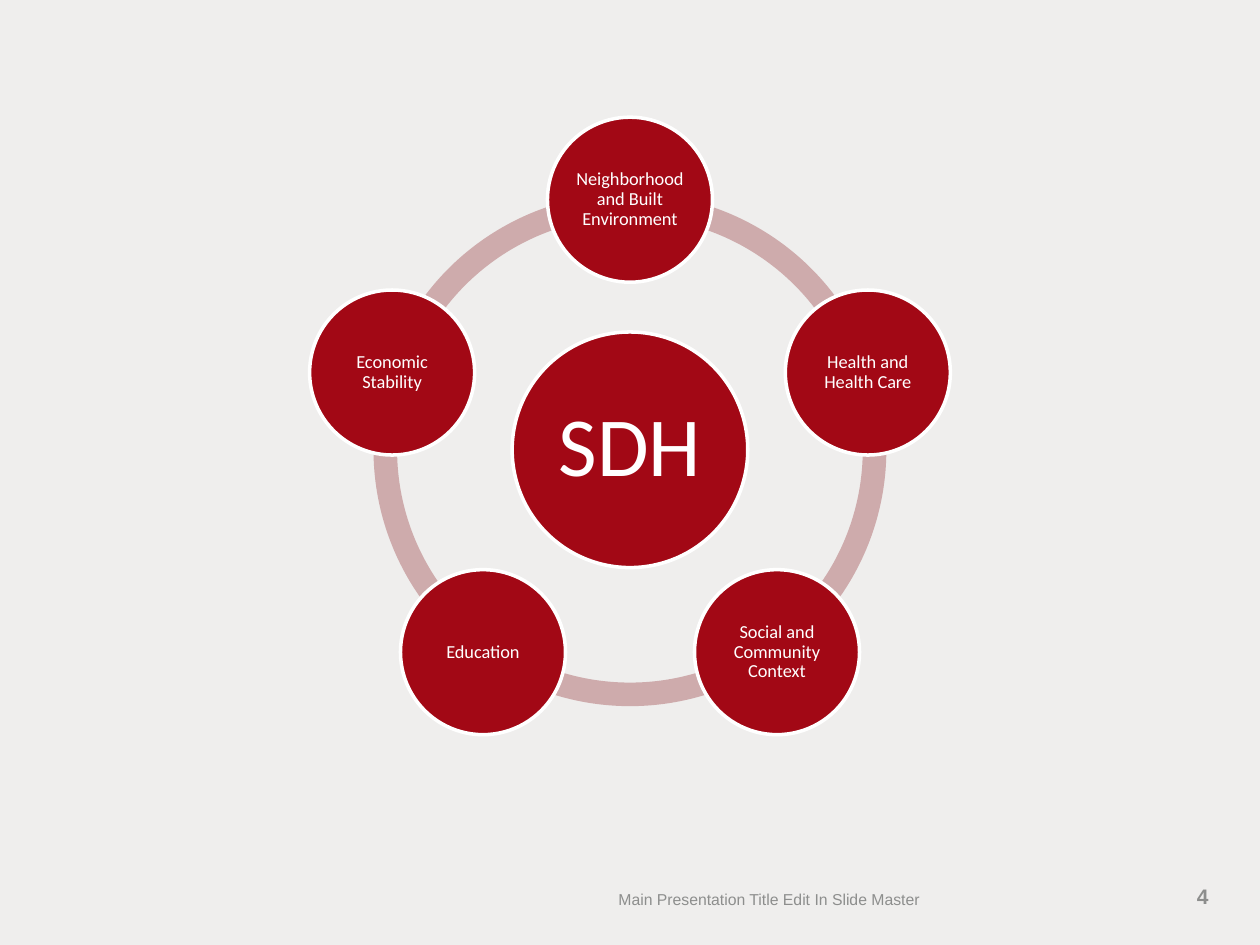
import math

from pptx import Presentation
from pptx import util as u
from pptx.dml.color import RGBColor
from pptx.enum import shapes, text

PAPER = RGBColor(0xEF, 0xEE, 0xED)
RED = RGBColor(0xA2, 0x08, 0x15)
PINK = RGBColor(0xCE, 0xAB, 0xAC)
WHITE = RGBColor(0xFF, 0xFF, 0xFF)
GREY = RGBColor(0x8D, 0x8E, 0x8D)

prs = Presentation()
prs.slide_width, prs.slide_height = W, H = u.Inches(10), u.Inches(7.5)
s = prs.slides.add_slide(prs.slide_layouts[6])
s.background.fill.solid()
s.background.fill.fore_color.rgb = PAPER


def write(sp, words, font="Calibri", size=10.5, color=WHITE, bold=False,
          align=text.PP_ALIGN.CENTER, anchor=text.MSO_ANCHOR.MIDDLE,
          spacing=0.9, inset=None):
    tf = sp.text_frame
    tf.word_wrap = True
    tf.vertical_anchor = anchor
    if inset is not None:
        tf.margin_left = tf.margin_right = inset
        tf.margin_top = tf.margin_bottom = inset
    p = tf.paragraphs[0]
    p.alignment, p.line_spacing = align, spacing
    r = p.add_run()
    r.text = words
    r.font.name, r.font.size, r.font.bold = font, u.Pt(size), bold
    r.font.color.rgb = color


def centred(kind, x, y, size, fill):
    """Add a square-framed shape around the point (x, y)."""
    sp = s.shapes.add_shape(kind, int(x - size / 2), int(y - size / 2),
                            int(size), int(size))
    sp.shadow.inherit = False
    sp.fill.solid()
    sp.fill.fore_color.rgb = fill
    sp.line.fill.background()
    return sp


# Footer and slide number
for words, left, width, size, bold, align in [
    ("Main Presentation Title Edit In Slide Master", 0.481, 0.381, 9, False,
     text.PP_ALIGN.LEFT),
    ("4", 0.912, 0.057, 12, True, text.PP_ALIGN.RIGHT),
]:
    sp = s.shapes.add_textbox(int(W * left), u.Inches(6.86),
                              int(W * width), u.Inches(0.4))
    write(sp, words, font="Arial", size=size, color=GREY, bold=bold,
          align=align, anchor=text.MSO_ANCHOR.BOTTOM, spacing=1.0)

# Radial diagram: one ring segment and one circle per topic, clockwise from top
topics = ["Neighborhood and Built Environment", "Health and Health Care",
          "Social and Community Context", "Education", "Economic Stability"]
cx, cy = W * 0.5, u.Inches(3.57)
orbit = u.Inches(1.985)
step = 360 / len(topics)
angles = [(270 + step * i) % 360 for i in range(len(topics))]

for angle in angles:
    arc = centred(shapes.MSO_SHAPE.BLOCK_ARC, cx, cy, W * 0.407, PINK)
    # Angle adjustments count 0.6 per degree
    arc.adjustments[0] = angle * 0.6
    arc.adjustments[1] = (angle + step) % 360 * 0.6
    arc.adjustments[2] = 0.046

circles = [("SDH", cx, cy, 0.187, 48, 0.07)]
for topic, angle in zip(topics, angles):
    a = math.radians(angle)
    circles.append((topic, cx + orbit * math.cos(a), cy + orbit * math.sin(a),
                    0.131, 10.5, 0.02))

for words, x, y, share, size, inset in circles:
    sp = centred(shapes.MSO_SHAPE.OVAL, x, y, W * share, RED)
    sp.line.color.rgb = WHITE
    sp.line.width = u.Pt(2)
    write(sp, words, size=size, inset=u.Inches(inset))

prs.save("out.pptx")
